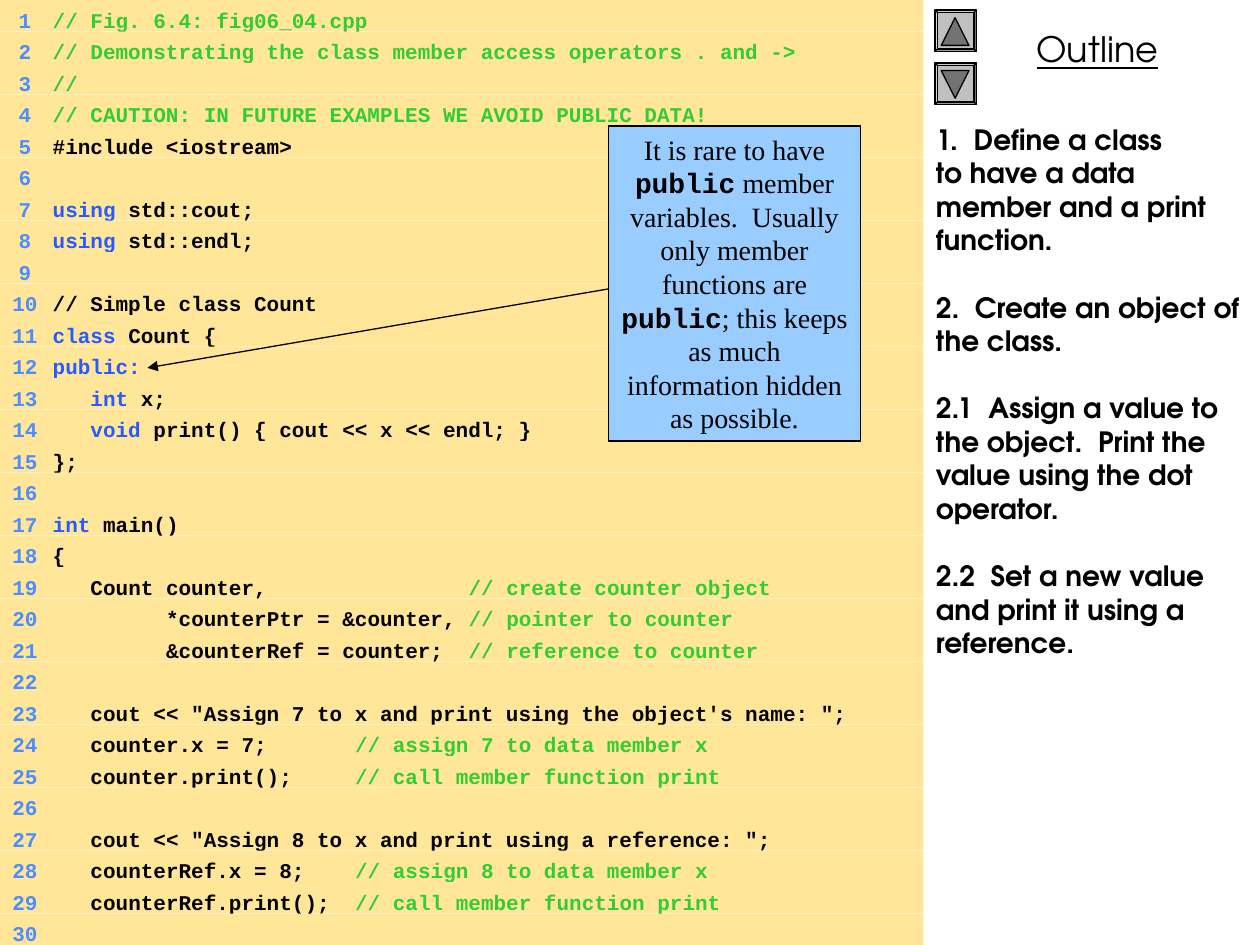
from lxml import etree
from pptx import Presentation
from pptx.dml.color import RGBColor
from pptx.enum.shapes import MSO_CONNECTOR, MSO_SHAPE
from pptx.enum.text import MSO_ANCHOR, PP_ALIGN
from pptx.oxml.ns import qn
from pptx.util import Inches, Pt

RECTANGLE, BEVEL, TRIANGLE = MSO_SHAPE.RECTANGLE, MSO_SHAPE.BEVEL, MSO_SHAPE.ISOSCELES_TRIANGLE
STRAIGHT = MSO_CONNECTOR.STRAIGHT
TOP = MSO_ANCHOR.TOP
LEFT, CENTER = PP_ALIGN.LEFT, PP_ALIGN.CENTER

BLACK = RGBColor(0x00, 0x00, 0x00)
CREAM = RGBColor(0xFF, 0xE6, 0x99)
SKY = RGBColor(0x99, 0xCC, 0xFF)
SILVER = RGBColor(0xC0, 0xC0, 0xC0)
GRAY = RGBColor(0x73, 0x73, 0x73)
NUMBER_BLUE = RGBColor(0x4D, 0x8D, 0xFF)
KEYWORD_BLUE = RGBColor(0x27, 0x5A, 0xFF)
COMMENT_GREEN = RGBColor(0x33, 0xCC, 0x33)

MONO, SANS, SERIF = "Courier New", "TeX Gyre Adventor", "Times New Roman"
ROW_HEIGHT = 0.25
CODE_WIDTH = 7.33
CODE_TABS = ((0.15, "r"), (0.32, "l"))
KEYWORDS = ("using", "class", "public:", "int", "void")
BLACK_COMMENT_LINE = 10

CODE_LINES = (
    "// Fig. 6.4: fig06_04.cpp",
    "// Demonstrating the class member access operators . and ->",
    "//",
    "// CAUTION: IN FUTURE EXAMPLES WE AVOID PUBLIC DATA!",
    "#include <iostream>",
    "",
    "using std::cout;",
    "using std::endl;",
    "",
    "// Simple class Count",
    "class Count {",
    "public:",
    "   int x;",
    "   void print() { cout << x << endl; }",
    "};",
    "",
    "int main()",
    "{",
    "   Count counter,                // create counter object",
    "         *counterPtr = &counter, // pointer to counter",
    "         &counterRef = counter;  // reference to counter",
    "",
    "   cout << \"Assign 7 to x and print using the object's name: \";",
    "   counter.x = 7;       // assign 7 to data member x",
    "   counter.print();     // call member function print",
    "",
    "   cout << \"Assign 8 to x and print using a reference: \";",
    "   counterRef.x = 8;    // assign 8 to data member x",
    "   counterRef.print();  // call member function print",
    "",
)

OUTLINE_STEPS = (
    "1.  Define a class\vto have a data member and a print function.",
    "2.  Create an object of the class.",
    "2.1  Assign a value to the object.  Print the value using the dot operator.",
    "2.2  Set a new value and print it using a reference.",
)

CALLOUT_SPANS = (
    ("It is rare to have ", SERIF),
    ("public", MONO),
    (" member variables.  Usually only member functions are ", SERIF),
    ("public", MONO),
    ("; this keeps as much information hidden as possible.", SERIF),
)


def set_values(target, values):
    """Set each named value on the target."""
    for name, value in values.items():
        setattr(target, name, value)


def add_span(para, text, size, font, color=BLACK, **values):
    """Append a formatted run to a paragraph."""
    span = para.add_run()
    span.text = text
    set_values(span.font, {"size": Pt(size), "name": font, **values})
    span.font.color.rgb = color


def add_filled(page, kind, place, fill, line=None):
    """Add a preset shape with a solid fill and an optional thin line."""
    shape = page.shapes.add_shape(kind, *map(Inches, place))
    shape.shadow.inherit = False
    shape.fill.solid()
    shape.fill.fore_color.rgb = fill
    if line is None:
        shape.line.fill.background()
    else:
        shape.line.color.rgb = line
        shape.line.width = Pt(0.75)
    return shape


def prepare_text(box):
    """Make the box wrap from the top and return its text frame."""
    set_values(box.text_frame, {"word_wrap": True, "vertical_anchor": TOP})
    return box.text_frame


def add_tabs(para, stops):
    """Give a paragraph its tab stops."""
    tab_list = etree.SubElement(para._p.get_or_add_pPr(), qn("a:tabLst"))
    for position, alignment in stops:
        etree.SubElement(tab_list, qn("a:tab"), pos=str(Inches(position)), algn=alignment)


def split_code(number, line):
    """Return the coloured parts of one line of code."""
    if number == BLACK_COMMENT_LINE:
        return [(line, BLACK)]
    code, mark, comment = line.partition("//")
    body = code.lstrip()
    indent = code[:len(code) - len(body)]
    keyword = next((word for word in KEYWORDS if body.startswith(word)), "")
    parts = [(indent + keyword, KEYWORD_BLUE), (body[len(keyword):], BLACK),
             (mark + comment, COMMENT_GREEN)]
    return [part for part in parts if part[0]]


def add_code_row(page, number, line):
    """Add one numbered row of the listing."""
    place = (0, (number - 1) * ROW_HEIGHT, CODE_WIDTH, ROW_HEIGHT)
    para = prepare_text(add_filled(page, RECTANGLE, place, CREAM)).paragraphs[0]
    set_values(para, {"alignment": LEFT, "line_spacing": Pt(15)})
    add_tabs(para, CODE_TABS)
    add_span(para, f"\t{number}\t", 12, MONO, NUMBER_BLUE, bold=True)
    for text, color in split_code(number, line):
        add_span(para, text, 12, MONO, color, bold=True)


def add_button(page, top, rotation):
    """Add a bevelled button with a triangle on it."""
    button = add_filled(page, BEVEL, (7.42, top, 0.33, 0.33), SILVER, BLACK)
    button.adjustments[0] = 0.06
    arrow = add_filled(page, TRIANGLE, (7.47, top + 0.06, 0.22, 0.22), GRAY, BLACK)
    arrow.rotation = rotation


def add_heading(page):
    """Add the underlined heading of the side panel."""
    box = page.shapes.add_textbox(*map(Inches, (7.42, 0.17, 2.58, 0.44)))
    para = prepare_text(box).paragraphs[0]
    para.alignment = CENTER
    add_span(para, "Outline", 20, SANS, underline=True)


def add_steps(page):
    """Add the steps of the side panel, one paragraph each."""
    box = page.shapes.add_textbox(*map(Inches, (7.33, 0.92, 2.67, 6.58)))
    frame = prepare_text(box)
    for index, step in enumerate(OUTLINE_STEPS):
        para = frame.add_paragraph() if index else frame.paragraphs[0]
        set_values(para, {"line_spacing": Pt(19.2), "space_before": Pt(19.2 if index else 0)})
        for part, text in enumerate(step.split("\v")):
            if part:
                para.add_line_break()
            add_span(para, text, 16, SANS, bold=True)


def add_arrow(page, start, end):
    """Add a thin line with an arrowhead at its end."""
    arrow = page.shapes.add_connector(STRAIGHT, *map(Inches, start + end))
    arrow.line.color.rgb = BLACK
    arrow.line.width = Pt(0.75)
    etree.SubElement(arrow.line._get_or_add_ln(), qn("a:tailEnd"), type="triangle")
    etree.SubElement(arrow._element.spPr, qn("a:effectLst"))


def add_callout(page):
    """Add the remark about public members."""
    box = add_filled(page, RECTANGLE, (4.83, 1, 2, 2.5), SKY, BLACK)
    para = prepare_text(box).paragraphs[0]
    set_values(para, {"alignment": CENTER, "line_spacing": Pt(19.2)})
    for text, font in CALLOUT_SPANS:
        add_span(para, text, 16, font, bold=font == MONO)


def main():
    """Build and save the deck."""
    deck = Presentation()
    set_values(deck, {"slide_width": Inches(10), "slide_height": Inches(7.5)})
    page = deck.slides.add_slide(deck.slide_layouts[6])
    add_heading(page)
    for top, rotation in ((0.08, 0), (0.5, 180)):
        add_button(page, top, rotation)
    add_steps(page)
    for number, line in enumerate(CODE_LINES, 1):
        add_code_row(page, number, line)
    add_arrow(page, (5.08, 2.25), (1.17, 2.92))
    add_callout(page)
    deck.save("out.pptx")


if __name__ == "__main__":
    main()
